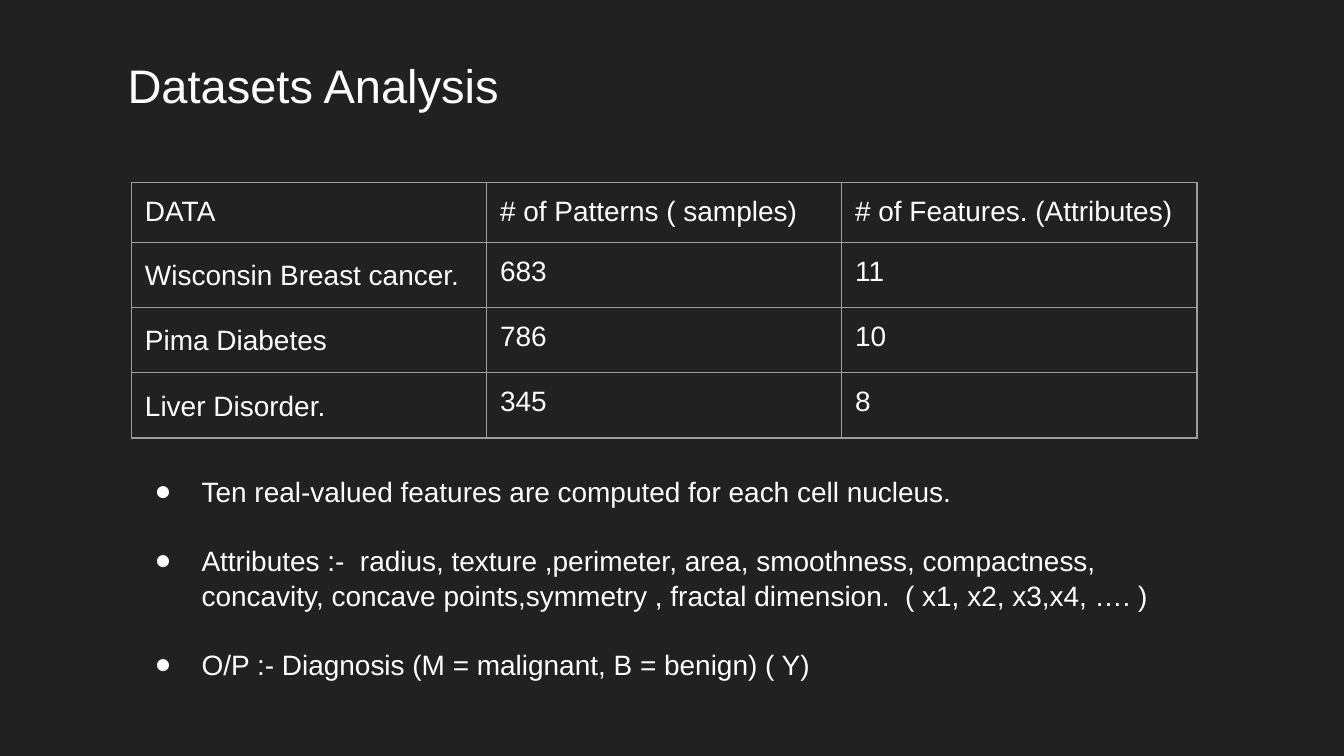
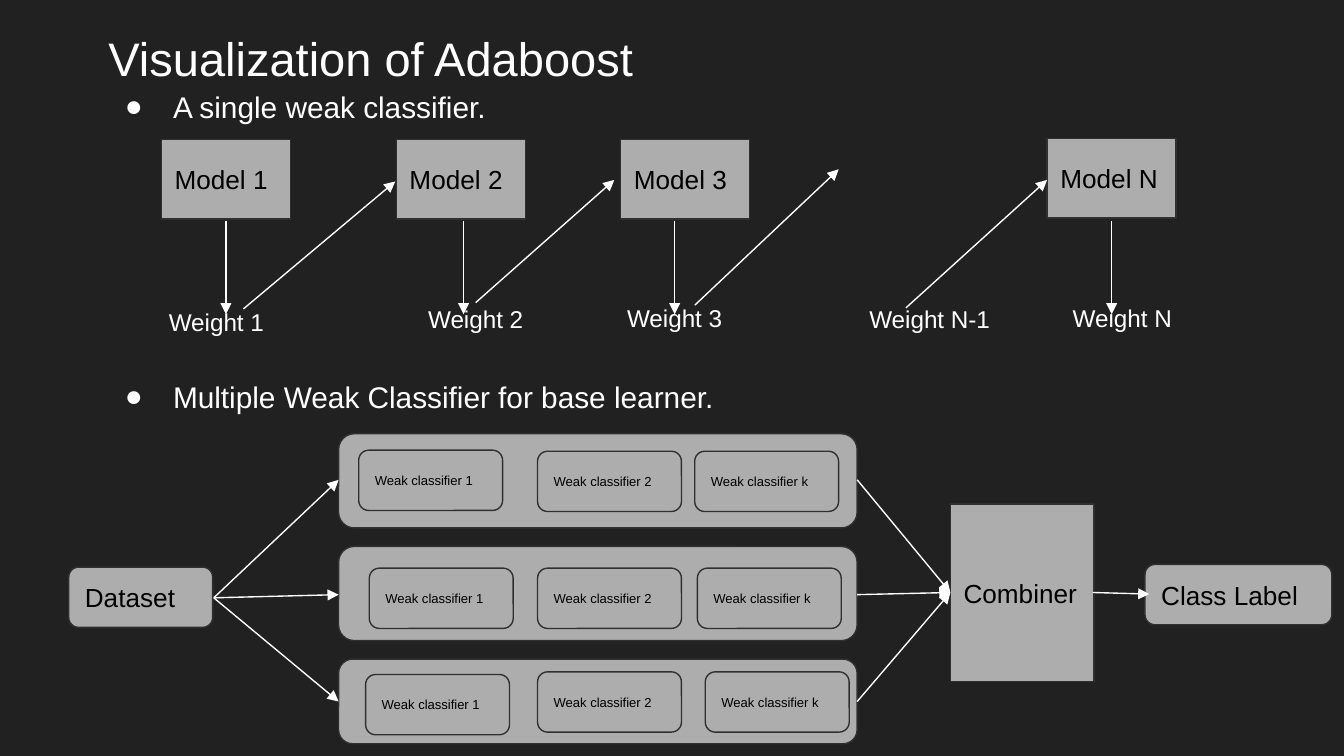
from dataclasses import dataclass

from lxml import etree
from pptx import Presentation
from pptx.dml.color import RGBColor
from pptx.enum import shapes, text
from pptx.oxml import ns
from pptx.util import Cm, Pt


@dataclass(frozen=True)
class Theme:
    font: str = "Arial"
    background: str = "212121"
    light: str = "FFFFFF"
    dark: str = "000000"
    fill: str = "ADADAD"
    outline: str = "303030"
    grid: str = "9E9E9E"
    line: float = 0.75
    title: float = 25.2
    list: float = 16
    table: float = 15
    box: float = 14
    weight: float = 13
    small: float = 7


T = Theme()
INSET = 0.25

# Content; all places are in centimetres: left, top, width, height
DATASETS = {
    "title": ("Datasets Analysis", (2.16, 0.81, 23.67, 1.6)),
    "table_at": (2.49, 3.45),
    "column": 6.71,
    "row": 1.07,
    "rows": [
        ("DATA", "# of Patterns ( samples)", "# of Features. (Attributes)"),
        ("Wisconsin Breast cancer.", "683", "11"),
        ("Pima Diabetes", "786", "10"),
        ("Liver Disorder.", "345", "8"),
    ],
    "list_at": (2.29, 8.69, 20.52, 4.37),
    "list": [
        "Ten real-valued features are computed for each cell nucleus.",
        "Attributes :-  radius, texture ,perimeter, area, smoothness, compactness, "
        "concavity, concave points,symmetry , fractal dimension.  ( x1, x2, x3,x4, …. )",
        "O/P :- Diagnosis (M = malignant, B = benign) ( Y)",
    ],
}

ADABOOST_TITLE = ("Visualization of Adaboost", (1.3, 0.3, 23.67, 1.6))
HEADINGS = [
    ("A single weak classifier.", (1.75, 1.42, 9.17, 1.19)),
    ("Multiple Weak Classifier for base learner.", (1.75, 6.91, 13.49, 1.19)),
]
MODEL_SIZE = (2.44, 1.5)
MODELS = [("Model 1", 3.05, 2.64), ("Model 2", 7.49, 2.64),
          ("Model 3", 11.73, 2.64), ("Model N", 19.79, 2.62)]
WEIGHTS = [("Weight 1", 2.73, 5.56, 2.72), ("Weight 2", 7.57, 5.51, 2.84),
           ("Weight 3", 11.33, 5.49, 2.84), ("Weight N-1", 16.18, 5.51, 3.05),
           ("Weight N", 19.79, 5.49, 2.84)]
MODEL_TO_WEIGHT_X = [4.27, 8.76, 12.75, 21.01]
MODEL_TO_WEIGHT_Y = (4.17, 5.94)
WEIGHT_TO_MODEL = [((4.6, 5.84), (7.47, 3.43)), ((8.99, 5.72), (11.61, 3.4)),
                   ((13.13, 5.77), (15.85, 3.2)), ((17.12, 5.82), (19.79, 3.4))]

BAND_LEFT, BAND_TOP, BAND_WIDTH, BAND_PITCH = 6.4, 8.2, 9.8, 2.13
CLASSIFIER_SIZE = (2.72, 1.14)
CLASSIFIERS = ("Weak classifier 1", "Weak classifier 2", "Weak classifier k")
# Each band: height, arrow level, then the left and top of its classifiers
BANDS = [
    (1.78, 9.07, [(6.78, 8.51), (10.16, 8.53), (13.13, 8.53)]),
    (1.78, 11.24, [(6.98, 10.74), (10.16, 10.74), (13.18, 10.74)]),
    (1.6, 13.26, [(6.91, 12.75), (10.16, 12.7), (13.33, 12.7)]),
]
DATASET = ("Dataset", (1.3, 10.72, *CLASSIFIER_SIZE))
COMBINER = ("Combiner", (17.96, 9.53, 2.72, 3.35))
CLASS_LABEL = ("Class Label", (21.64, 10.67, 3.53, 1.14))
DATASET_OUT, COMBINER_IN = (4.04, 11.3), (17.96, 11.2)
RESULT_ARROW = ((20.65, 11.2), (21.72, 11.23))

RECT = shapes.MSO_SHAPE.RECTANGLE
ROUND = shapes.MSO_SHAPE.ROUNDED_RECTANGLE


def rgb(color):
    return RGBColor.from_string(color)


def add_xml(parent, tag, **attrs):
    return etree.SubElement(parent, ns.qn(tag), attrs)


def add_solid(parent, color):
    add_xml(add_xml(parent, "a:solidFill"), "a:srgbClr", val=color)


def place(sp, at):
    sp.left, sp.top, sp.width, sp.height = map(Cm, at)


def write(holder, content, *, size, color=T.light, align=text.PP_ALIGN.LEFT,
          anchor=text.MSO_ANCHOR.TOP, left=INSET, spacing=1.0, after=0,
          bullet=None, grow=False):
    """Fill a shape or cell with one paragraph per line; bullet is the hanging indent."""
    tf = holder.text_frame
    if hasattr(holder, "has_text_frame"):
        tf.word_wrap = True
        tf.auto_size = (text.MSO_AUTO_SIZE.SHAPE_TO_FIT_TEXT if grow
                        else text.MSO_AUTO_SIZE.NONE)
    frame = tf if hasattr(holder, "has_text_frame") else holder
    frame.vertical_anchor = anchor
    frame.margin_left = Cm(left)
    frame.margin_right = frame.margin_top = frame.margin_bottom = Cm(INSET)
    lines = [content] if isinstance(content, str) else content
    for i, line in enumerate(lines):
        p = tf.paragraphs[0] if i == 0 else tf.add_paragraph()
        p.alignment = align
        p.line_spacing = spacing
        p.space_before, p.space_after = Pt(0), Pt(after)
        r = p.add_run()
        r.text = line
        r.font.name, r.font.size = T.font, Pt(size)
        r.font.color.rgb = rgb(color)
        if bullet:
            pPr = p._p.get_or_add_pPr()
            pPr.set("marL", str(Cm(1.27)))
            pPr.set("indent", str(-Cm(bullet)))
            add_xml(add_xml(pPr, "a:buClr"), "a:srgbClr", val=T.light)
            add_xml(pPr, "a:buFont", typeface=T.font)
            add_xml(pPr, "a:buChar", char="●")


def add_title(s, title, left=INSET):
    content, at = title
    place(s.shapes.title, at)
    write(s.shapes.title, content, size=T.title, left=left)


def add_box(s, kind, at, label="", size=T.box):
    sp = s.shapes.add_shape(kind, *map(Cm, at))
    sp.shadow.inherit = False
    sp.fill.solid()
    sp.fill.fore_color.rgb = rgb(T.fill)
    sp.line.color.rgb = rgb(T.outline)
    sp.line.width = Pt(T.line)
    if label:
        write(sp, label, size=size, color=T.dark, anchor=text.MSO_ANCHOR.MIDDLE)


def add_arrow(s, start, end):
    c = s.shapes.add_connector(shapes.MSO_CONNECTOR.STRAIGHT, *map(Cm, (*start, *end)))
    c.line.color.rgb = rgb(T.light)
    c.line.width = Pt(T.line)
    add_xml(c.line._get_or_add_ln(), "a:tailEnd", type="triangle")
    add_xml(c._element.spPr, "a:effectLst")


def add_borders(cell):
    tcPr = cell._tc.get_or_add_tcPr()
    for i, side in enumerate(("a:lnL", "a:lnR", "a:lnT", "a:lnB")):
        ln = etree.Element(ns.qn(side), w=str(Pt(T.line)))
        add_solid(ln, T.grid)
        tcPr.insert(i, ln)


def add_data_table(s, rows, at, column, row):
    n, m = len(rows), len(rows[0])
    table = s.shapes.add_table(n, m, *map(Cm, (*at, m * column, n * row))).table
    table.first_row = table.horz_banding = False
    for i, values in enumerate(rows):
        for j, value in enumerate(values):
            cell = table.cell(i, j)
            name_format = {"spacing": 1.15, "after": 12} if i and not j else {}
            write(cell, value, size=T.table, **name_format)
            cell.fill.background()
            add_borders(cell)


def build_datasets(prs):
    s = prs.slides.add_slide(prs.slide_layouts.get_by_name("Title and Content"))
    d = DATASETS
    add_title(s, d["title"])
    add_data_table(s, d["rows"], d["table_at"], d["column"], d["row"])
    body = s.placeholders[1]
    place(body, d["list_at"])
    write(body, d["list"], size=T.table, spacing=1.05, after=18, bullet=0.89, grow=True)


def build_single_classifier(s):
    for label, x, y in MODELS:
        add_box(s, RECT, (x, y, *MODEL_SIZE), label)
    for label, x, y, width in WEIGHTS:
        sp = s.shapes.add_textbox(*map(Cm, (x, y, width, 1.07)))
        align = text.PP_ALIGN.LEFT if label == "Weight N-1" else text.PP_ALIGN.CENTER
        write(sp, label, size=T.weight, align=align, grow=True)
    top, bottom = MODEL_TO_WEIGHT_Y
    for x in MODEL_TO_WEIGHT_X:
        add_arrow(s, (x, top), (x, bottom))
    for start, end in WEIGHT_TO_MODEL:
        add_arrow(s, start, end)


def build_multiple_classifiers(s):
    add_box(s, ROUND, DATASET[1], DATASET[0])
    add_box(s, RECT, COMBINER[1], COMBINER[0])
    add_box(s, ROUND, CLASS_LABEL[1], CLASS_LABEL[0])
    for i, (height, level, spots) in enumerate(BANDS):
        add_box(s, ROUND, (BAND_LEFT, BAND_TOP + i * BAND_PITCH, BAND_WIDTH, height))
        for label, spot in zip(CLASSIFIERS, spots):
            add_box(s, ROUND, (*spot, *CLASSIFIER_SIZE), label, T.small)
        add_arrow(s, DATASET_OUT, (BAND_LEFT, level))
        add_arrow(s, (BAND_LEFT + BAND_WIDTH, level), COMBINER_IN)
    add_arrow(s, *RESULT_ARROW)


def build_adaboost(prs):
    s = prs.slides.add_slide(prs.slide_layouts.get_by_name("Two Content"))
    add_title(s, ADABOOST_TITLE, left=0.75)
    for idx, (heading, at) in enumerate(HEADINGS, start=1):
        place(s.placeholders[idx], at)
        write(s.placeholders[idx], heading, size=T.list, bullet=0.91, grow=True)
    build_single_classifier(s)
    build_multiple_classifiers(s)


def main():
    prs = Presentation()
    prs.slide_width, prs.slide_height = Cm(25.4), Cm(14.29)
    bg = prs.slide_master.background.fill
    bg.solid()
    bg.fore_color.rgb = rgb(T.background)
    build_datasets(prs)
    build_adaboost(prs)
    prs.save("out.pptx")


if __name__ == "__main__":
    main()
